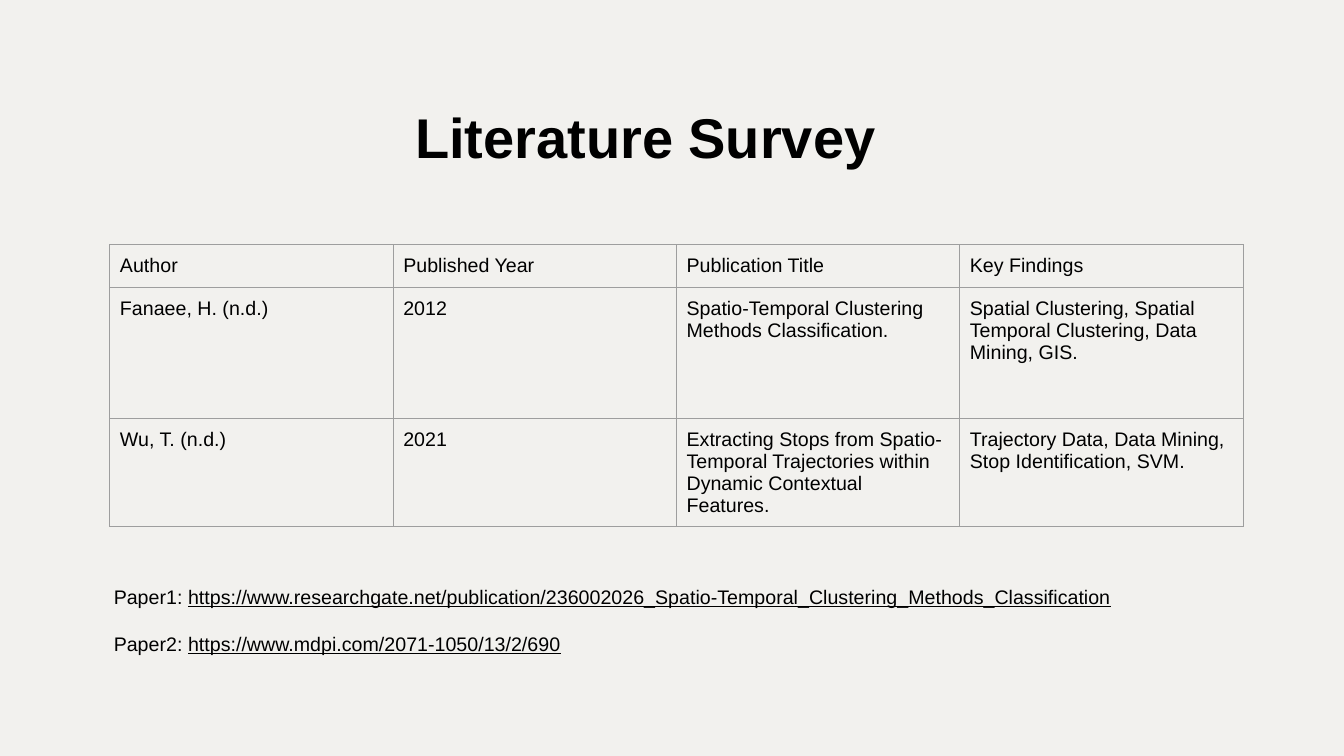
from lxml.etree import SubElement
from pptx import Presentation
from pptx.dml.color import RGBColor
from pptx.enum.text import MSO_ANCHOR, MSO_AUTO_SIZE, PP_ALIGN
from pptx.oxml import parse_xml
from pptx.oxml.ns import nsdecls, qn
from pptx.util import Inches, Pt

HUES = {"back": "F2F1EE", "ink": "000000", "rule": "9E9E9E"}
LEFT, TOP, COL = 1.09, 2.43, 2.81
ROWS = [0.42, 1.3, 1.07]
BODY = {"name": "Arial", "size": Pt(14), "bold": False}
HEAD = {"name": "Arial", "size": Pt(40), "bold": True}
CELLS = [
    ["Author", "Published Year", "Publication Title", "Key Findings"],
    ["Fanaee, H. (n.d.)", "2012",
     "Spatio-Temporal Clustering Methods Classification.",
     "Spatial Clustering, Spatial Temporal Clustering, Data Mining, GIS."],
    ["Wu, T. (n.d.)", "2021",
     "Extracting Stops from Spatio-Temporal Trajectories within "
     "Dynamic Contextual Features.",
     "Trajectory Data, Data Mining, Stop Identification, SVM."],
]
LINKS = [
    ("Paper1: ", "https://www.researchgate.net/publication/"
     "236002026_Spatio-Temporal_Clustering_Methods_Classification"),
    ("Paper2: ", "https://www.mdpi.com/2071-1050/13/2/690"),
]


def style(font, form):
    for key, val in form.items():
        setattr(font, key, val)
    font.color.rgb = RGBColor.from_string(HUES["ink"])


def pad(frame, size):
    for side in ("left", "top", "right", "bottom"):
        setattr(frame, f"margin_{side}", Inches(size))


# Slide and background
deck = Presentation()
deck.slide_width, deck.slide_height = Inches(13.33), Inches(7.5)
slide = deck.slides.add_slide(deck.slide_layouts[5])
slide.background.fill.solid()
slide.background.fill.fore_color.rgb = RGBColor.from_string(HUES["back"])

# Title
title = slide.shapes.title
title.left, title.top = Inches(0.65), Inches(0.29)
title.width, title.height = Inches(11.5), Inches(1.45)
frame = title.text_frame
frame.text = "Literature Survey"
frame.auto_size = MSO_AUTO_SIZE.NONE
frame.vertical_anchor = MSO_ANCHOR.BOTTOM
para = frame.paragraphs[0]
para.alignment, para.line_spacing = PP_ALIGN.CENTER, 0.9
style(para.runs[0].font, HEAD)

# Survey table
table = slide.shapes.add_table(
    len(CELLS), len(CELLS[0]), Inches(LEFT), Inches(TOP),
    Inches(COL * len(CELLS[0])), Inches(sum(ROWS))).table
table.first_row = table.horz_banding = False
for col in table.columns:
    col.width = Inches(COL)
for r, texts in enumerate(CELLS):
    table.rows[r].height = Inches(ROWS[r])
    for c, text in enumerate(texts):
        cell = table.cell(r, c)
        cell.text = text
        cell.fill.background()
        pad(cell, 0.1)
        style(cell.text_frame.paragraphs[0].runs[0].font, BODY)
        # Thin rule on all four sides
        props = cell._tc.get_or_add_tcPr()
        for n, side in enumerate("LRTB"):
            line = parse_xml(f'<a:ln{side} {nsdecls("a")} w="{Pt(0.75)}"/>')
            fill = SubElement(line, qn("a:solidFill"))
            SubElement(fill, qn("a:srgbClr")).set("val", HUES["rule"])
            props.insert(n, line)

# Paper links
box = slide.shapes.add_textbox(
    Inches(1.03), Inches(5.47), Inches(11.19), Inches(1.2))
frame = box.text_frame
frame.word_wrap = True
pad(frame, 0.1)
for n, (label, link) in enumerate(LINKS):
    para = frame.add_paragraph() if n else frame.paragraphs[0]
    para.line_spacing = 2.0
    for text, under in ((label, False), (link, True)):
        run = para.add_run()
        run.text = text
        style(run.font, {**BODY, "underline": under})

deck.save("out.pptx")
